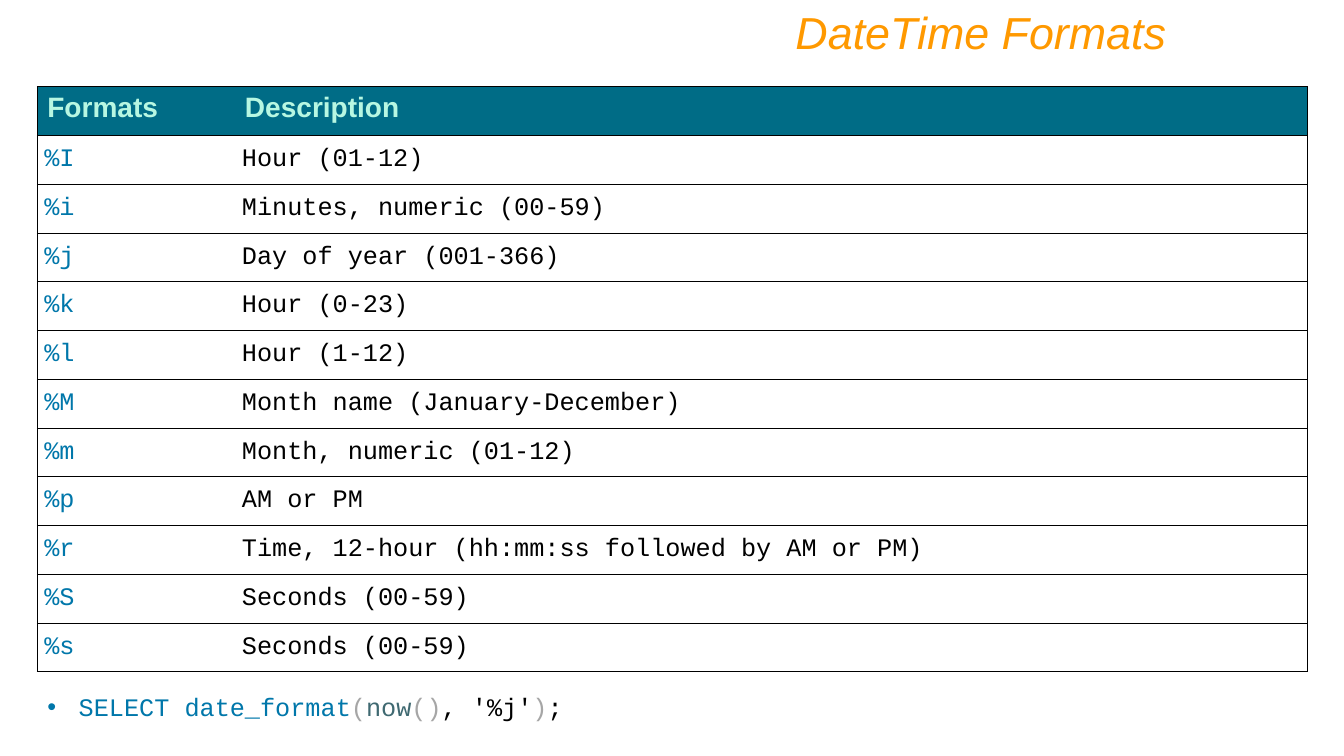
"""Build the DateTime Formats reference slide."""
from dataclasses import dataclass
from typing import Any, NamedTuple

import pptx
import pptx.dml.color
import pptx.enum.text
import pptx.oxml
import pptx.oxml.ns
import pptx.util
from pptx.util import Inches


@dataclass(frozen=True)
class Theme:
    sans: str = "Arial"
    mono: str = "Courier New"
    title: str = "FF9900"
    header_fill: str = "006C86"
    header_text: str = "B7F7E2"
    code: str = "0077AA"
    function: str = "3F6971"
    bracket: str = "A6A6A6"
    black: str = "000000"
    title_size: int = 32
    header_size: int = 20
    body_size: int = 18
    border: float = 0.75


class Format(NamedTuple):
    code: str
    description: str


class Token(NamedTuple):
    text: str
    color: str


THEME = Theme()
FORMATS = [
    Format("%I", "Hour (01-12)"),
    Format("%i", "Minutes, numeric (00-59)"),
    Format("%j", "Day of year (001-366)"),
    Format("%k", "Hour (0-23)"),
    Format("%l", "Hour (1-12)"),
    Format("%M", "Month name (January-December)"),
    Format("%m", "Month, numeric (01-12)"),
    Format("%p", "AM or PM"),
    Format("%r", "Time, 12-hour (hh:mm:ss followed by AM or PM)"),
    Format("%S", "Seconds (00-59)"),
    Format("%s", "Seconds (00-59)"),
]
QUERY = [
    Token("SELECT date_format", THEME.code),
    Token("(", THEME.bracket),
    Token("now", THEME.function),
    Token("()", THEME.bracket),
    Token(", '%j'", THEME.black),
    Token(")", THEME.bracket),
    Token(";", THEME.black),
]


def rgb(color: str) -> pptx.dml.color.RGBColor:
    return pptx.dml.color.RGBColor.from_string(color)


def add_text(p: Any, text: str, *, color: str, size: int = THEME.body_size,
             font: str = THEME.mono, bold: bool = False, italic: bool = False) -> None:
    r = p.add_run()
    r.text = text
    r.font.name = font
    r.font.size = pptx.util.Pt(size)
    r.font.bold = bold
    r.font.italic = italic
    r.font.color.rgb = rgb(color)


def place(sp: Any, left: float, top: float, width: float, height: float) -> Any:
    sp.left, sp.top = Inches(left), Inches(top)
    sp.width, sp.height = Inches(width), Inches(height)
    tf = sp.text_frame
    tf.word_wrap = True
    tf.auto_size = pptx.enum.text.MSO_AUTO_SIZE.NONE
    tf.vertical_anchor = pptx.enum.text.MSO_ANCHOR.TOP
    p = tf.paragraphs[0]
    p.space_before = pptx.util.Pt(0)
    return p


def set_borders(cell: Any, visible: str) -> None:
    tc_pr = cell._tc.get_or_add_tcPr()
    ns = pptx.oxml.ns.nsdecls("a")
    for side in "LRTB":
        color = f'<a:solidFill><a:srgbClr val="{THEME.black}"/></a:solidFill>'
        fill = color if side in visible else "<a:noFill/>"
        width = pptx.util.Pt(THEME.border)
        tc_pr.append(pptx.oxml.parse_xml(f'<a:ln{side} {ns} w="{width}">{fill}</a:ln{side}>'))


def add_formats_table(s: Any) -> None:
    rows = [Format("Formats", "Description"), *FORMATS]
    frame = s.shapes.add_table(len(rows), 2, Inches(0.37), Inches(0.86),
                               Inches(12.6), Inches(5.81))
    table = frame.table
    table.first_row = table.horz_banding = False
    for column, width in zip(table.columns, (1.96, 10.64)):
        column.width = Inches(width)
    for i, row in enumerate(rows):
        table.rows[i].height = Inches(5.81 / len(rows))
        for j, text in enumerate(row):
            cell = table.cell(i, j)
            set_borders(cell, "TB" + "LR"[j])
            p = cell.text_frame.paragraphs[0]
            if i == 0:
                cell.fill.solid()
                cell.fill.fore_color.rgb = rgb(THEME.header_fill)
                add_text(p, text, color=THEME.header_text, size=THEME.header_size,
                         font=THEME.sans, bold=True)
            else:
                cell.fill.background()
                cell.vertical_anchor = pptx.enum.text.MSO_ANCHOR.MIDDLE
                cell.margin_left = cell.margin_right = Inches(0.07)
                cell.margin_top = cell.margin_bottom = 0
                add_text(p, text, color=(THEME.code, THEME.black)[j])


def add_query(sp: Any) -> None:
    p = place(sp, 0.37, 6.81, 9.67, 0.4)
    p_pr = p._p.get_or_add_pPr()
    p_pr.set("marL", str(Inches(0.31)))
    p_pr.set("indent", str(Inches(-0.31)))
    ns = pptx.oxml.ns.nsdecls("a")
    for bullet in (f'<a:buFont {ns} typeface="{THEME.sans}"/>', f'<a:buChar {ns} char="•"/>'):
        p_pr.append(pptx.oxml.parse_xml(bullet))
    for token in QUERY:
        add_text(p, token.text, color=token.color)


def main() -> None:
    prs = pptx.Presentation()
    prs.slide_width, prs.slide_height = Inches(13.33), Inches(7.5)
    s = prs.slides.add_slide(prs.slide_layouts[1])
    add_formats_table(s)
    p = place(s.shapes.title, 1.67, 0, 10, 0.64)
    p.alignment = pptx.enum.text.PP_ALIGN.RIGHT
    add_text(p, "DateTime Formats", color=THEME.title, size=THEME.title_size,
             font=THEME.sans, italic=True)
    add_query(s.placeholders[1])
    prs.save("out.pptx")


if __name__ == "__main__":
    main()
